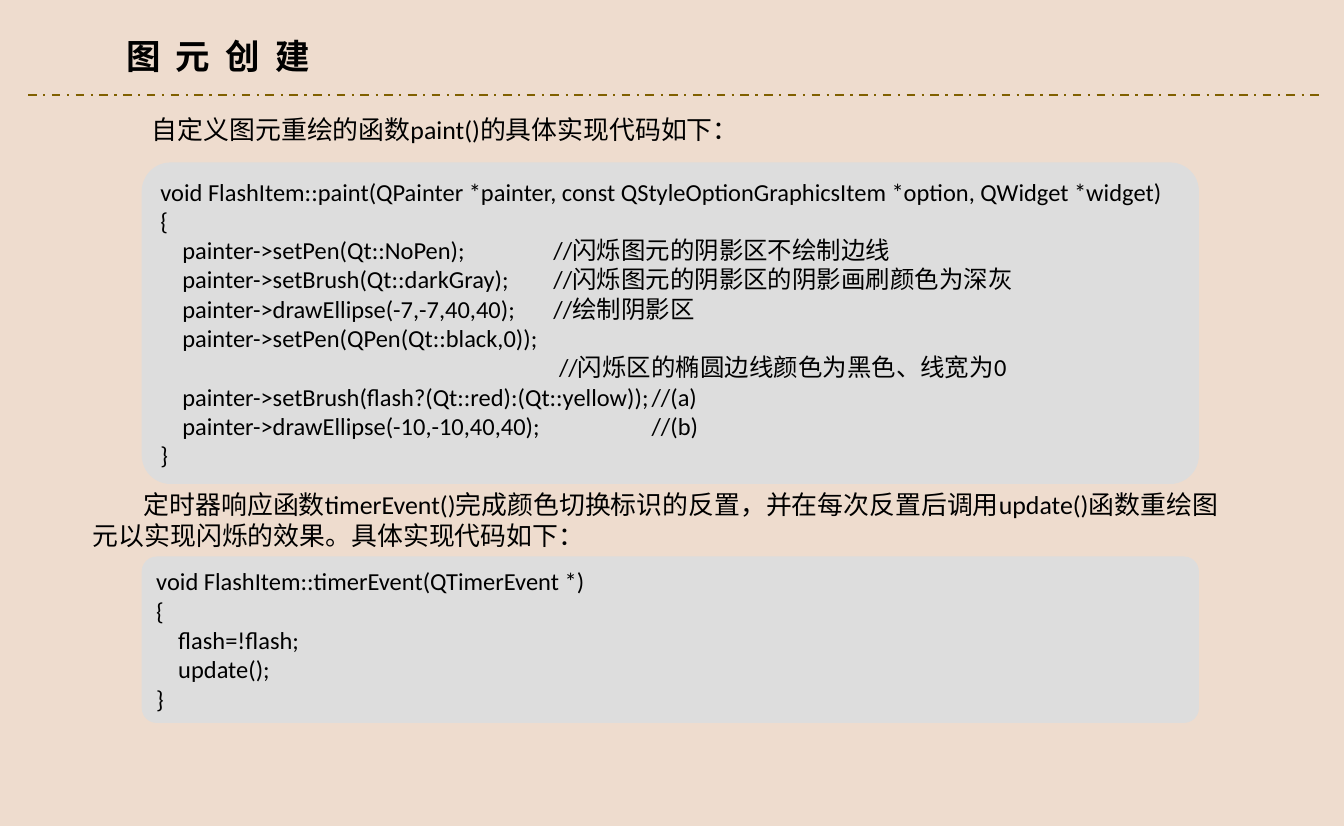
from lxml import etree
from pptx import Presentation
from pptx.dml.color import RGBColor
from pptx.enum import dml, shapes, text
from pptx.oxml import ns
from pptx.util import Cm, Pt

COLORS = {"background": "EEDCCE", "rule": "806000", "panel": "DDDDDD", "text": "000000"}
CODE_INDENT = Cm(0.54)
COMMENT_INDENT = Cm(9.79)
CODE_TABS = [CODE_INDENT, Cm(9.65), Cm(12.06)]

PAINT_CODE = [
    ("void FlashItem::paint(QPainter *painter, const QStyleOptionGraphicsItem *option, QWidget *widget)", 0),
    ("{", 0),
    ("\tpainter->setPen(Qt::NoPen);\t//闪烁图元的阴影区不绘制边线", 0),
    ("\tpainter->setBrush(Qt::darkGray);\t//闪烁图元的阴影区的阴影画刷颜色为深灰", 0),
    ("\tpainter->drawEllipse(-7,-7,40,40);\t//绘制阴影区", 0),
    ("painter->setPen(QPen(Qt::black,0));", CODE_INDENT),
    ("//闪烁区的椭圆边线颜色为黑色、线宽为0", COMMENT_INDENT),
    ("\tpainter->setBrush(flash?(Qt::red):(Qt::yellow));\t//(a)", 0),
    ("\tpainter->drawEllipse(-10,-10,40,40);\t\t//(b)", 0),
    ("}", 0),
]
TIMER_CODE = [
    ("void FlashItem::timerEvent(QTimerEvent *)", 0),
    ("{", 0),
    ("flash=!flash;", CODE_INDENT),
    ("update();", CODE_INDENT),
    ("}", 0),
]


def write_lines(shape, lines, size, bold=False):
    frame = shape.text_frame
    for number, (content, indent) in enumerate(lines):
        paragraph = frame.add_paragraph() if number else frame.paragraphs[0]
        paragraph.alignment = text.PP_ALIGN.LEFT
        properties = paragraph._p.get_or_add_pPr()
        if "\t" in content:
            tab_list = etree.SubElement(properties, ns.qn("a:tabLst"))
            for position in CODE_TABS:
                etree.SubElement(tab_list, ns.qn("a:tab"), pos=str(int(position)), algn="l")
        else:
            properties.set("marL", "0")
            properties.set("indent", str(int(indent)))
        run = paragraph.add_run()
        run.text = content
        run.font.name = "Calibri"
        run.font.size = Pt(size)
        run.font.bold = bold
        run.font.color.rgb = RGBColor.from_string(COLORS["text"])


presentation = Presentation()
presentation.slide_width = Cm(33)
presentation.slide_height = Cm(20.29)
slide = presentation.slides.add_slide(presentation.slide_layouts[5])
slide.background.fill.solid()
slide.background.fill.fore_color.rgb = RGBColor.from_string(COLORS["background"])

rule = slide.shapes.add_connector(
    shapes.MSO_CONNECTOR.STRAIGHT, Cm(0.69), Cm(2.34), Cm(32.49), Cm(2.34))
rule.line.color.rgb = RGBColor.from_string(COLORS["rule"])
rule.line.width = Pt(1.5)
rule.line.dash_style = dml.MSO_LINE.DASH_DOT
etree.SubElement(rule._element.spPr, ns.qn("a:effectLst"))

title = slide.shapes.title
title.left, title.top, title.width, title.height = Cm(2.84), Cm(0.74), Cm(5.11), Cm(1.27)
title.text_frame.word_wrap = False
title.text_frame.auto_size = text.MSO_AUTO_SIZE.SHAPE_TO_FIT_TEXT
title.text_frame.vertical_anchor = text.MSO_ANCHOR.TOP
write_lines(title, [("图 元 创 建", 0)], 24, bold=True)
title.text_frame.paragraphs[0].runs[0].font._element.set("spc", "270")

for left, top, width, height, wrap, indent, content in [
    (3.48, 2.67, 15.06, 1.02, False, 0, "自定义图元重绘的函数paint()的具体实现代码如下："),
    (2.03, 11.89, 28.68, 1.8, True, Cm(1.25),
     "定时器响应函数timerEvent()完成颜色切换标识的反置，并在每次反置后调用update()函数重绘图元以实现闪烁的效果。具体实现代码如下："),
]:
    note = slide.shapes.add_textbox(Cm(left), Cm(top), Cm(width), Cm(height))
    note.text_frame.word_wrap = wrap
    note.text_frame.auto_size = text.MSO_AUTO_SIZE.SHAPE_TO_FIT_TEXT
    write_lines(note, [(content, indent)], 18)

for top, height, code in [(3.99, 7.9, PAINT_CODE), (13.67, 4.09, TIMER_CODE)]:
    panel = slide.shapes.add_shape(
        shapes.MSO_SHAPE.ROUNDED_RECTANGLE, Cm(3.48), Cm(top), Cm(25.96), Cm(height))
    panel.adjustments[0] = 0.09
    panel.shadow.inherit = False
    panel.fill.solid()
    panel.fill.fore_color.rgb = RGBColor.from_string(COLORS["panel"])
    panel.line.fill.background()
    panel.text_frame.word_wrap = True
    panel.text_frame.vertical_anchor = text.MSO_ANCHOR.MIDDLE
    write_lines(panel, code, 17)

presentation.save("out.pptx")
